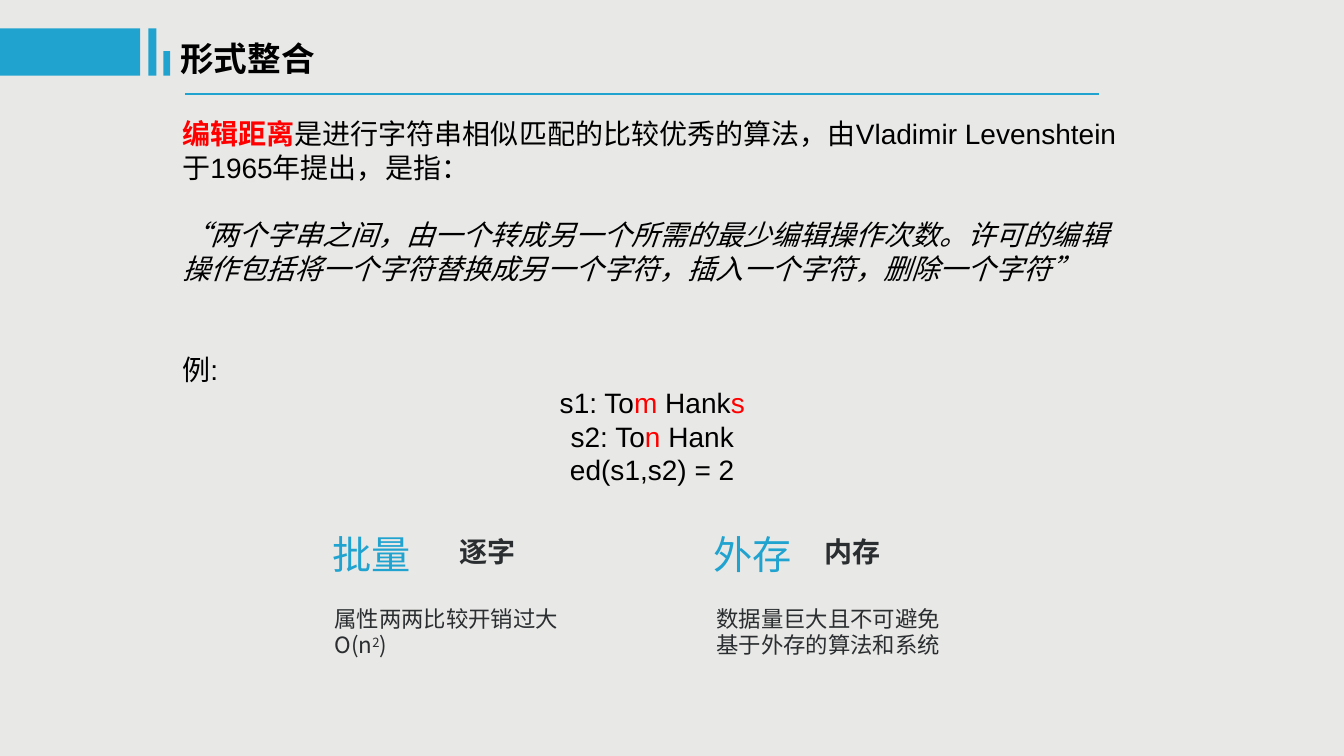
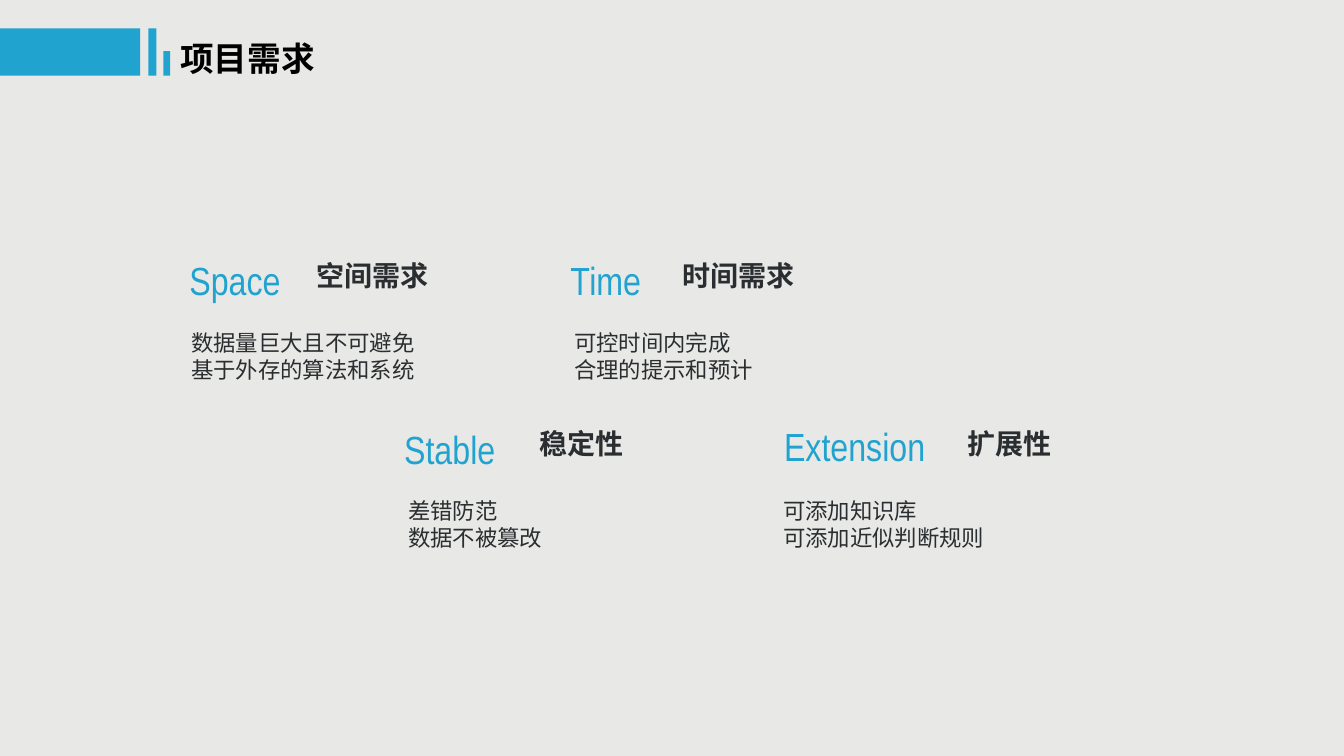
"""Build two slides on string matching: edit distance and project requirements."""
import pptx
import pptx.dml.color
import pptx.enum.lang
import pptx.enum.shapes
import pptx.enum.text
import pptx.oxml
import pptx.oxml.ns
import pptx.util

BLUE = pptx.dml.color.RGBColor(0x21, 0xA3, 0xD0)
PAPER = pptx.dml.color.RGBColor(0xE8, 0xE8, 0xE6)
INK = pptx.dml.color.RGBColor(0x2B, 0x2E, 0x30)
BLACK = pptx.dml.color.RGBColor(0, 0, 0)
RED = pptx.dml.color.RGBColor(0xFF, 0, 0)
HAN = "Noto Sans CJK SC"
CENTER = pptx.enum.text.PP_ALIGN.CENTER

deck = pptx.Presentation()
deck.slide_width = pptx.util.Inches(13.33)
deck.slide_height = pptx.util.Inches(7.5)
COLUMN = deck.slide_width / 100
ROW = deck.slide_height / 100


def place(left, top, width, height):
    return [round(n * unit) for n, unit in zip((left, top, width, height), (COLUMN, ROW) * 2)]


def write(slide, area, paragraphs, size=20, font=HAN, color=BLACK, bold=False):
    """Each paragraph is (runs, align, space before); each run is (text, changes)."""
    frame = slide.shapes.add_textbox(*place(*area)).text_frame
    frame.word_wrap = True
    frame.auto_size = pptx.enum.text.MSO_AUTO_SIZE.SHAPE_TO_FIT_TEXT
    for index, (runs, align, before) in enumerate(paragraphs):
        paragraph = frame.add_paragraph() if index else frame.paragraphs[0]
        paragraph.alignment = align
        paragraph.space_before = pptx.util.Pt(before)
        for words, changes in runs:
            run = paragraph.add_run()
            run.text = words
            style = run.font
            style.size = pptx.util.Pt(size)
            style.name = font
            style.bold = changes.get("bold", bold)
            style.italic = changes.get("italic", False)
            style.color.rgb = changes.get("color", color)
            style.language_id = pptx.enum.lang.MSO_LANGUAGE_ID.SIMPLIFIED_CHINESE
            properties = run._r.get_or_add_rPr()
            if "baseline" in changes:
                properties.set("baseline", changes["baseline"])
            east_asian = pptx.oxml.ns.qn("a:ea")
            properties.makeelement(east_asian)
            latin = properties.find(pptx.oxml.ns.qn("a:latin"))
            latin.addnext(properties.makeelement(east_asian, {"typeface": HAN}))


background = deck.slide_master.background.fill
background.solid()
background.fore_color.rgb = PAPER

BAND_BOTTOM = 10
BANDS = [(0, 3.75, 10.43), (11.03, 3.75, 0.6), (12.15, 6.75, 0.52)]
slides = []
for heading in ("形式整合", "项目需求"):
    slide = deck.slides.add_slide(deck.slide_layouts[6])
    slides.append(slide)
    for left, top, width in BANDS:
        band = slide.shapes.add_shape(
            pptx.enum.shapes.MSO_SHAPE.RECTANGLE, *place(left, top, width, BAND_BOTTOM - top))
        band.shadow.inherit = False
        band.fill.solid()
        band.fill.fore_color.rgb = BLUE
        band.line.fill.background()
    write(slide, (12.68, 4.4, 22.6, 6.67), [([(heading, {})], None, 0)], size=24, bold=True)

integration, requirements = slides

rule = integration.shapes.add_connector(
    pptx.enum.shapes.MSO_CONNECTOR.STRAIGHT, *place(13.8, 12.4, 81.75, 12.4))
rule.line.color.rgb = BLUE
rule.line.width = pptx.util.Pt(1.5)
rule._element.spPr.append(pptx.oxml.parse_xml(
    "<a:effectLst %s/>" % pptx.oxml.ns.nsdecls("a")))

LINE = 24
changed = {"color": RED}
definition = [
    ([("编辑距离", {"color": RED, "bold": True}),
      ("是进行字符串相似匹配的比较优秀的算法，由Vladimir Levenshtein于1965年提出，是指：", {})], None, 0),
    ([("“两个字串之间，由一个转成另一个所需的最少编辑操作次数。许可的编辑操作包括将一个字符替换成另一个字符，"
       "插入一个字符，删除一个字符”", {"italic": True})], None, LINE),
    ([("例:", {})], None, 2 * LINE),
    ([("s1: To", {}), ("m", changed), (" Hank", {}), ("s", changed)], CENTER, 0),
    ([("s2: To", {}), ("n", changed), (" Hank", {})], CENTER, 0),
    ([("ed(s1,s2) = 2", {})], CENTER, 0),
]
write(integration, (12.83, 14.8, 71.4, 55.2), definition, font="Arial")

cost = [("O(n", {}), ("2", {"baseline": "30000"}), (")", {})]
external = [[("数据量巨大且不可避免", {})], [("基于外存的算法和系统", {})]]
WIDE, NARROW = 43.4, 22
topics = [
    (integration, "批量", (24, 69.5), "逐字", (33.45, 70), (24.15, WIDE),
     [[("属性两两比较开销过大", {})], cost]),
    (integration, "外存", (52.35, 69.5), "内存", (60.6, 70), (52.58, WIDE), external),
    (requirements, "Space", (13.35, 33.2), "空间需求", (22.8, 33.6), (13.5, WIDE), external),
    (requirements, "Time", (41.7, 33.2), "时间需求", (50.03, 33.6), (42, WIDE),
     [[("可控时间内完成", {})], [("合理的提示和预计", {})]]),
    (requirements, "Stable", (29.33, 55.6), "稳定性", (39.4, 55.73), (29.63, WIDE),
     [[("差错防范", {})], [("数据不被篡改", {})]]),
    (requirements, "Extension", (57.6, 55.2), "扩展性", (71.25, 55.73), (57.53, NARROW),
     [[("可添加知识库", {})], [("可添加近似判断规则", {})]]),
]
DETAIL_DROP = 9.33
for slide, keyword, keyword_at, label, label_at, (detail_left, detail_width), details in topics:
    write(slide, (*label_at, 20.63, 5.87), [([(label, {})], None, 0)], color=INK, bold=True)
    write(slide, (detail_left, label_at[1] + DETAIL_DROP, detail_width, 8.53),
          [(runs, None, 0) for runs in details], size=16, color=INK)
    write(slide, (*keyword_at, 15, 7.6), [([(keyword, {})], None, 0)],
          size=28, font="Arial Narrow", color=BLUE)

deck.save("out.pptx")
